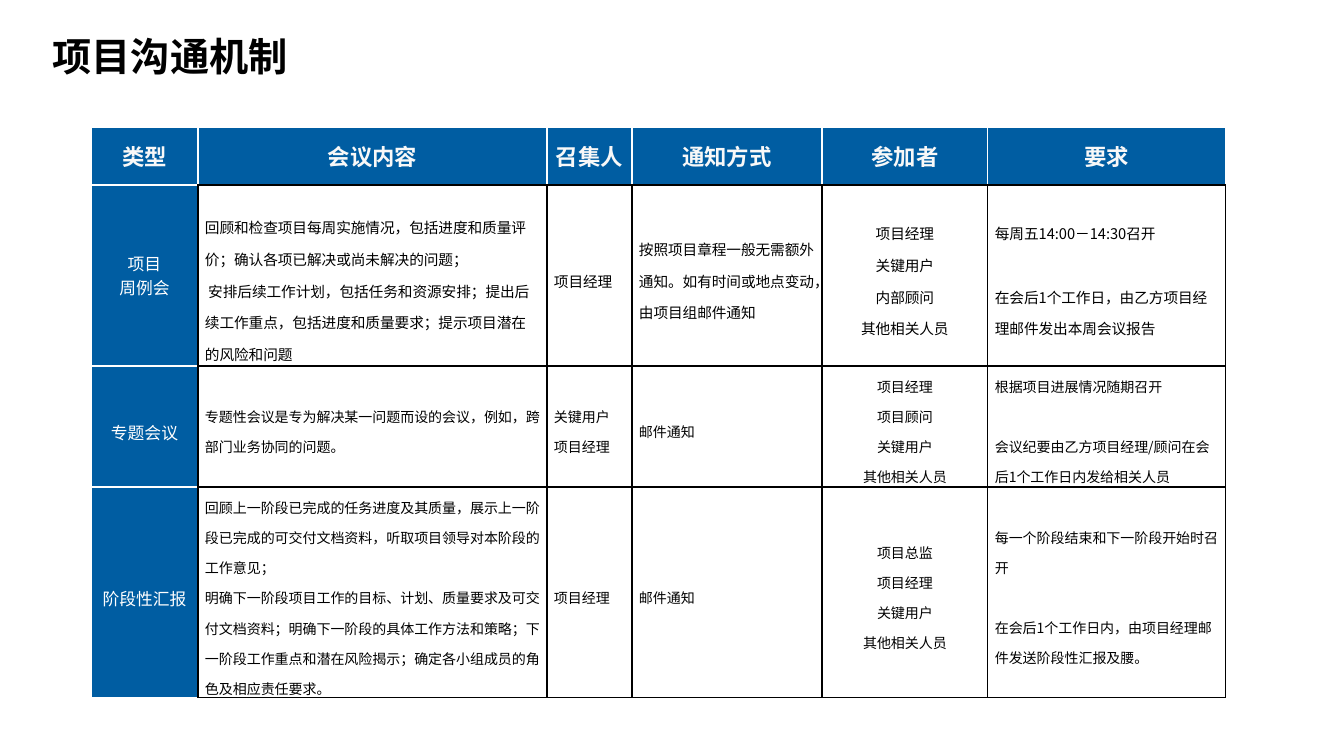
from lxml import etree
from pptx import Presentation
from pptx.dml.color import RGBColor
from pptx.enum.text import MSO_ANCHOR, PP_ALIGN
from pptx.oxml.ns import qn
from pptx.util import Emu, Pt

CENTER, LEFT = PP_ALIGN.CENTER, PP_ALIGN.LEFT
TOP, MIDDLE = MSO_ANCHOR.TOP, MSO_ANCHOR.MIDDLE
FONT = "Noto Sans CJK SC"
BLUE, WHITE, PALE, BLACK = "005DA2", "FFFFFF", "F8F8F8", "000000"

SLIDE_SIZE = (1344, 756)
TITLE_BOX = (0, 30, 340, 58)
TABLE_BOX = (91, 127, 1135, 571)
COLUMN_WIDTHS = (107, 349, 85, 190, 166, 238)
ROW_HEIGHTS = (58, 181, 121, 211)
CELL_INSET = 7
FIRST_CONTENT_GAP = 21
TYPE_COLUMN, CONTENT_COLUMN, ATTENDEE_COLUMN, REQUIREMENT_COLUMN = 0, 1, 4, 5
BODY_SIZES = {1: 10.5, 2: 10, 3: 10}

HEADINGS = ["类型", "会议内容", "召集人", "通知方式", "参加者", "要求"]
# Each line of a cell is one paragraph.
MEETINGS = [
    [
        "项目\n周例会",
        "回顾和检查项目每周实施情况，包括进度和质量评价；确认各项已解决或尚未解决的问题；\n"
        " 安排后续工作计划，包括任务和资源安排；提出后续工作重点，包括进度和质量要求；"
        "提示项目潜在的风险和问题",
        "项目经理",
        "按照项目章程一般无需额外通知。如有时间或地点变动，由项目组邮件通知",
        "项目经理\n关键用户\n内部顾问\n其他相关人员",
        "每周五14:00－14:30召开\n在会后1个工作日，由乙方项目经理邮件发出本周会议报告",
    ],
    [
        "专题会议",
        "专题性会议是专为解决某一问题而设的会议，例如，跨部门业务协同的问题。",
        "关键用户\n项目经理",
        "邮件通知",
        "项目经理\n项目顾问\n关键用户\n其他相关人员",
        "根据项目进展情况随期召开\n会议纪要由乙方项目经理/顾问在会后1个工作日内发给相关人员",
    ],
    [
        "阶段性汇报",
        "回顾上一阶段已完成的任务进度及其质量，展示上一阶段已完成的可交付文档资料，"
        "听取项目领导对本阶段的工作意见；\n"
        "明确下一阶段项目工作的目标、计划、质量要求及可交付文档资料；"
        "明确下一阶段的具体工作方法和策略；下一阶段工作重点和潜在风险揭示；"
        "确定各小组成员的角色及相应责任要求。",
        "项目经理",
        "邮件通知",
        "项目总监\n项目经理\n关键用户\n其他相关人员",
        "每一个阶段结束和下一阶段开始时召开\n在会后1个工作日内，由项目经理邮件发送阶段性汇报及腰。",
    ],
]


def px(length):
    return Emu(round(length * 914400 / 100.8))


def rgb(color):
    return RGBColor.from_string(color)


def write(frame, text, size, color, bold=False, align=LEFT, spacing=1.0, gap=0):
    """Fill a text frame, one paragraph a line, with gap points between them."""
    frame.word_wrap = True
    for index, line in enumerate(text.split("\n")):
        paragraph = frame.paragraphs[0] if index == 0 else frame.add_paragraph()
        paragraph.text = line
        paragraph.alignment = align
        paragraph.line_spacing = spacing
        if index and gap:
            paragraph.space_before = Pt(gap)
        font = paragraph.font
        font.size, font.bold, font.name = Pt(size), bold, FONT
        font.color.rgb = rgb(color)
        defaults = paragraph._p.pPr.find(qn("a:defRPr"))
        etree.SubElement(defaults, qn("a:ea")).set("typeface", FONT)


def set_borders(cell, left, right, top, bottom):
    properties = cell._tc.get_or_add_tcPr()
    sides = {"a:lnL": left, "a:lnR": right, "a:lnT": top, "a:lnB": bottom}
    for position, (tag, color) in enumerate(sides.items()):
        line = etree.Element(qn(tag), w=str(Pt(1)))
        fill = etree.SubElement(line, qn("a:solidFill"))
        etree.SubElement(fill, qn("a:srgbClr"), val=color)
        properties.insert(position, line)


def style_cell(cell, row, column):
    is_heading, is_type = row == 0, column == TYPE_COLUMN
    cell.vertical_anchor = MIDDLE
    cell.margin_left = cell.margin_right = px(CELL_INSET)
    cell.margin_top = cell.margin_bottom = 0
    if is_heading or is_type:
        cell.fill.solid()
        cell.fill.fore_color.rgb = rgb(BLUE)
    else:
        cell.fill.background()
    set_borders(
        cell,
        left=WHITE if is_heading or is_type else BLACK,
        right=WHITE if is_heading else BLACK,
        top=WHITE if is_heading or is_type else BLACK,
        bottom=WHITE if is_type else BLACK,
    )


def write_cell(cell, text, row, column):
    if row == 0:
        write(cell.text_frame, text, 16, PALE, bold=True, align=CENTER)
    elif column == TYPE_COLUMN:
        write(cell.text_frame, text, 12, WHITE, align=CENTER,
              spacing=1.0 if "\n" in text else 1.5)
    else:
        size = BODY_SIZES[row]
        write(cell.text_frame, text, size, BLACK,
              align=CENTER if column == ATTENDEE_COLUMN else LEFT, spacing=1.5,
              gap=round(size * 2.16, 1) if column == REQUIREMENT_COLUMN else 0)


def add_title(slide, box):
    title = slide.shapes.add_textbox(*map(px, box))
    title.text_frame.vertical_anchor = MIDDLE
    write(title.text_frame, "项目沟通机制", 28, BLACK, bold=True, align=CENTER, spacing=0.9)


def add_meeting_table(slide, box):
    rows = [HEADINGS, *MEETINGS]
    table = slide.shapes.add_table(len(rows), len(HEADINGS), *map(px, box)).table
    table.first_row = table.horz_banding = False
    table_properties = table._tbl.tblPr
    table_properties.remove(table_properties.find(qn("a:tableStyleId")))
    for column, width in zip(table.columns, COLUMN_WIDTHS):
        column.width = px(width)
    for row, height in zip(table.rows, ROW_HEIGHTS):
        row.height = px(height)
    for row, texts in enumerate(rows):
        for column, text in enumerate(texts):
            cell = table.cell(row, column)
            style_cell(cell, row, column)
            write_cell(cell, text, row, column)
    weekly_content = table.cell(1, CONTENT_COLUMN)
    weekly_content.vertical_anchor = TOP
    weekly_content.margin_top = px(FIRST_CONTENT_GAP)


def main():
    presentation = Presentation()
    presentation.slide_width, presentation.slide_height = map(px, SLIDE_SIZE)
    slide = presentation.slides.add_slide(presentation.slide_layouts[6])
    add_title(slide, TITLE_BOX)
    add_meeting_table(slide, TABLE_BOX)
    presentation.save("out.pptx")


if __name__ == "__main__":
    main()
